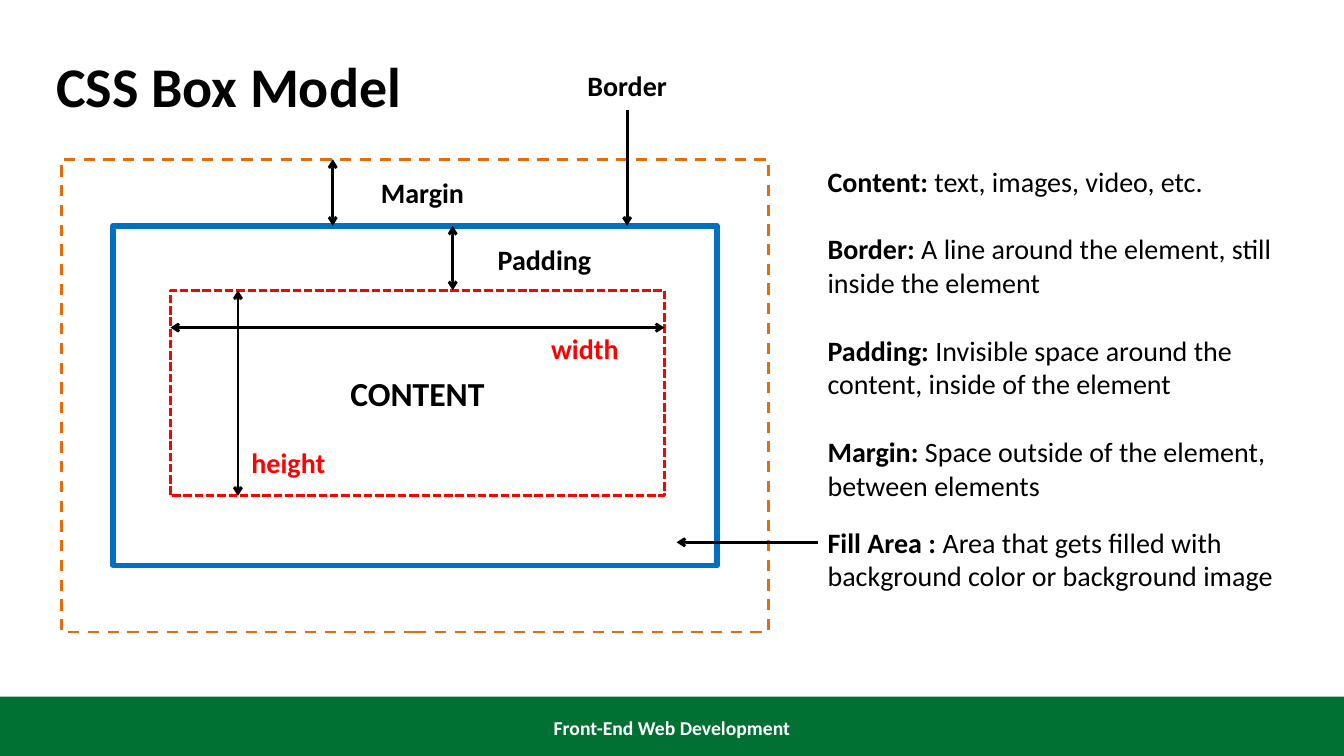
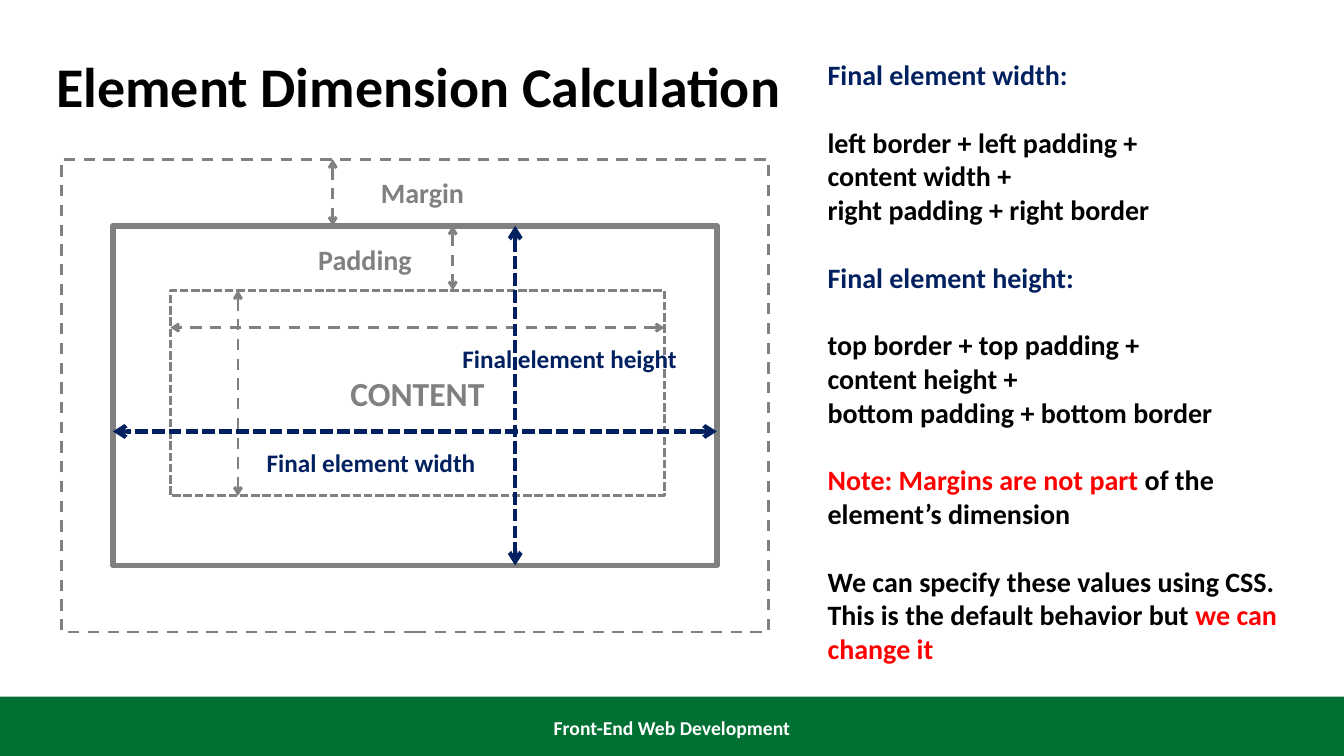
from dataclasses import dataclass
from lxml.etree import SubElement
from pptx import Presentation
from pptx.dml.color import RGBColor
from pptx.enum.dml import MSO_LINE
from pptx.enum.shapes import MSO_CONNECTOR, MSO_SHAPE
from pptx.enum.text import MSO_ANCHOR, PP_ALIGN
from pptx.oxml.ns import qn
from pptx.util import Inches, Pt


@dataclass(frozen=True)
class Theme:
    font: str = "Calibri"
    black: str = "000000"
    white: str = "FFFFFF"
    green: str = "007033"
    orange: str = "E46C0A"
    blue: str = "0070C0"
    red: str = "FF0000"
    gray: str = "808080"
    navy: str = "002060"
    title: int = 40
    center: int = 24
    body: int = 20
    label: int = 18
    foot: int = 14
    thin: int = 2
    bold: int = 3
    thick: int = 4
    gap: float = 24.4


THEME = Theme()
DASH = MSO_LINE.DASH
SHORT = MSO_LINE.SQUARE_DOT
OUTER = (0.61, 1.58, 7.01, 4.69)
EDGE = (1.12, 2.24, 5.99, 3.37)
INNER = (1.69, 2.88, 4.9, 2.04)


def write(para, text, size=THEME.body, color=THEME.black, bold=True):
    run = para.add_run()
    run.text = text
    font = run.font
    font.name, font.size, font.bold = THEME.font, Pt(size), bold
    font.color.rgb = RGBColor.from_string(color)


class Deck:
    def __init__(self, theme):
        self.theme = theme
        self.show = Presentation()
        self.show.slide_width = Inches(13.33)
        self.show.slide_height = Inches(7.5)
        self.slide = None

    def start(self, title):
        self.slide = self.show.slides.add_slide(self.show.slide_layouts[6])
        t = self.theme
        self.box((0, 6.91, 13.33, 0.59), fill=t.green)
        foot = self.label((0, 7.02, 13.33, 0.4), "Front-End Web Development",
                          size=t.foot, color=t.white)
        foot.vertical_anchor = MSO_ANCHOR.MIDDLE
        self.label((0.46, 0.46, 12.5, 0.77), title, align=PP_ALIGN.LEFT, size=t.title)

    def stroke(self, line, color, width, dash):
        line.color.rgb = RGBColor.from_string(color)
        line.width = Pt(width)
        if dash:
            line.dash_style = dash

    def box(self, place, fill=None, color=None, width=THEME.thin, dash=None):
        shape = self.slide.shapes.add_shape(MSO_SHAPE.RECTANGLE, *map(Inches, place))
        shape.shadow.inherit = False
        if fill:
            shape.fill.solid()
            shape.fill.fore_color.rgb = RGBColor.from_string(fill)
        else:
            shape.fill.background()
        if color:
            self.stroke(shape.line, color, width, dash)
        else:
            shape.line.fill.background()
        return shape

    def frame(self, place):
        frame = self.slide.shapes.add_textbox(*map(Inches, place)).text_frame
        frame.word_wrap = True
        return frame

    def label(self, place, text, align=PP_ALIGN.CENTER, **style):
        frame = self.frame(place)
        para = frame.paragraphs[0]
        para.alignment = align
        write(para, text, **style)
        return frame

    def notes(self, place, blocks):
        frame = self.frame(place)
        para = frame.paragraphs[0]
        for i, block in enumerate(blocks):
            for j, runs in enumerate(block):
                if i or j:
                    para = frame.add_paragraph()
                if i and not j:
                    para.space_before = Pt(self.theme.gap)
                for text, style in runs:
                    write(para, text, **style)

    def arrow(self, start, end, color=THEME.black, width=THEME.thin, dash=None, both=True):
        link = self.slide.shapes.add_connector(
            MSO_CONNECTOR.STRAIGHT, *map(Inches, (*start, *end)))
        self.stroke(link.line, color, width, dash)
        line = link.line._get_or_add_ln()
        for tip in ("a:headEnd", "a:tailEnd") if both else ("a:tailEnd",):
            SubElement(line, qn(tip)).set("type", "arrow")
        SubElement(link._element.spPr, qn("a:effectLst"))

    def model(self, outer, edge, inner, ink, dash, pad):
        t = self.theme
        self.box(OUTER, color=outer, dash=DASH)
        self.box(EDGE, color=edge, width=t.thick)
        core = self.box(INNER, color=inner, dash=SHORT).text_frame
        core.vertical_anchor = MSO_ANCHOR.MIDDLE
        core.paragraphs[0].alignment = PP_ALIGN.CENTER
        write(core.paragraphs[0], "CONTENT", size=t.center, color=ink)
        left, top, wide, high = INNER
        for start, end in (
            ((4.49, EDGE[1]), (4.49, top)),
            ((3.3, OUTER[1]), (3.3, EDGE[1])),
            ((2.36, top), (2.36, top + high)),
            ((left + wide, 3.25), (left, 3.25)),
        ):
            self.arrow(start, end, color=ink, dash=dash)
        self.tag(3.48, 1.69, "Margin", ink)
        self.tag(pad, 2.36, "Padding", ink)

    def tag(self, left, top, text, color):
        self.label((left, top, 1.42, 0.44), text, color=color)


def term(name, text):
    return [[(name, {}), (text, {"bold": False})]]


def lines(*texts, **style):
    return [[(text, style)] for text in texts]


def parts(deck):
    t = deck.theme
    deck.start("CSS Box Model")
    deck.model(t.orange, t.blue, t.red, t.black, None, 4.69)
    deck.arrow((6.22, 1.09), (6.22, EDGE[1]), both=False)
    deck.arrow((8.11, 5.38), (6.71, 5.38), both=False)
    deck.tag(5.51, 0.63, "Border", t.black)
    deck.tag(5.09, 3.24, "width", t.red)
    deck.tag(2.15, 4.37, "height", t.red)
    deck.notes((8.11, 1.58, 4.84, 3.8), [
        term("Content: ", "text, images, video, etc."),
        term("Border: ", "A line around the element, still inside the element"),
        term("Padding: ", "Invisible space around the content, inside of the element"),
        term("Margin: ", "Space outside of the element, between elements"),
    ])
    deck.notes((8.11, 5.16, 4.84, 1.45), [
        term("Fill Area : ", "Area that gets filled with background color or background image"),
    ])


def sizes(deck):
    t = deck.theme
    deck.start("Element Dimension Calculation")
    deck.model(t.gray, t.gray, t.gray, t.gray, DASH, 2.91)
    left, top, wide, high = EDGE
    for start, end in (
        ((5.11, top), (5.11, top + high)),
        ((left + wide, 4.28), (left, 4.28)),
    ):
        deck.arrow(start, end, color=t.navy, width=t.bold, dash=SHORT)
    deck.label((2.29, 4.39, 2.78, 0.4), "Final element width", size=t.label, color=t.navy)
    deck.label((4.37, 3.36, 2.56, 0.4), "Final element height", size=t.label, color=t.navy)
    red = {"color": t.red}
    deck.notes((8.11, 0.52, 4.84, 6.16), [
        lines("Final element width:", color=t.navy),
        lines("left border + left padding +", "content width +", "right padding + right border"),
        lines("Final element height:", color=t.navy),
        lines("top border + top padding +", "content height +", "bottom padding + bottom border"),
        [[("Note: Margins are not part ", red), ("of the element’s dimension", {})]],
        [
            [("We can specify these values using CSS.", {})],
            [("This is the default behavior but ", {}), ("we can change it", red)],
        ],
    ])


def main():
    deck = Deck(THEME)
    parts(deck)
    sizes(deck)
    deck.show.save("out.pptx")


if __name__ == "__main__":
    main()
